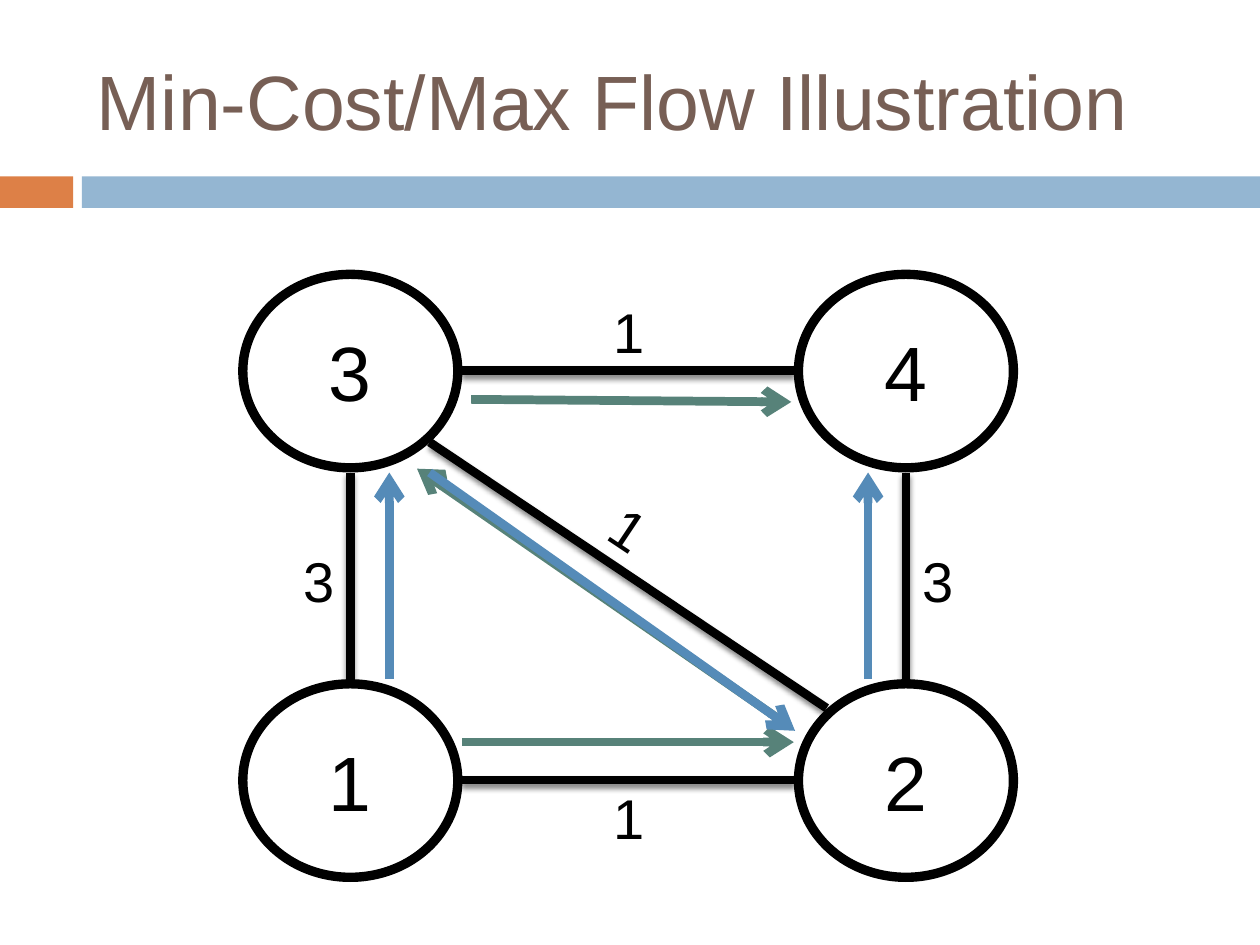
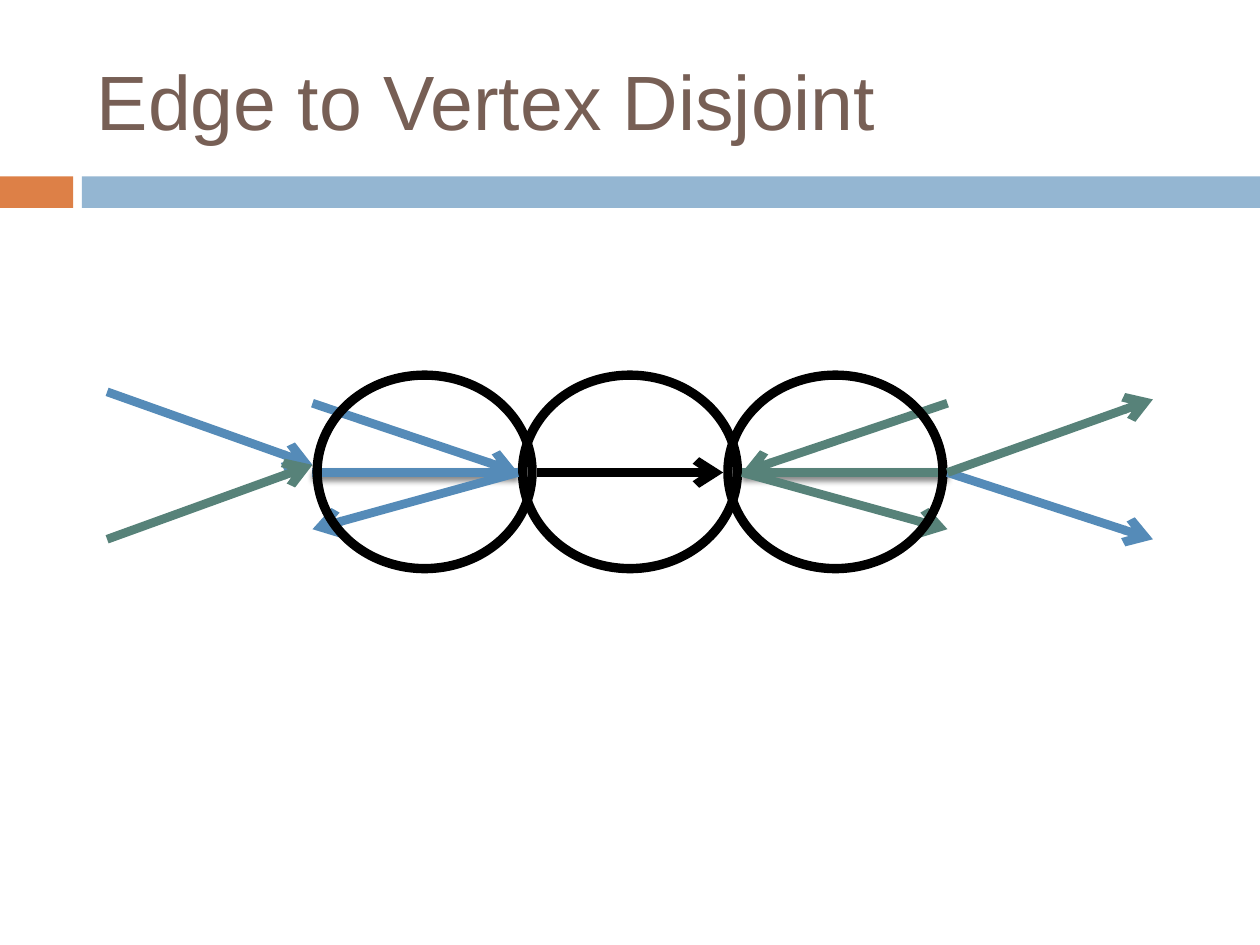
from lxml.etree import SubElement
from pptx import Presentation
from pptx.dml.color import RGBColor
from pptx.enum.shapes import MSO_CONNECTOR, MSO_SHAPE
from pptx.enum.text import MSO_ANCHOR, PP_ALIGN
from pptx.oxml.ns import qn
from pptx.util import Pt

PX = 9144  # EMU in one px, at 100 px to the inch
COLORS = {
    "black": "000000",
    "title": "775F55",
    "orange": "DD8047",
    "band": "94B6D2",
    "green": "578279",
    "blue": "558BB8",
}
NODE_WIDTH, NODE_HEIGHT = 178, 161
CENTERED = {"alignment": PP_ALIGN.CENTER}


def rgb(name):
    return RGBColor.from_string(COLORS[name])


def set_all(target, values):
    for name, value in values.items():
        setattr(target, name, value)


class Deck:
    """Holds the shared style and the slide being drawn."""

    def __init__(self):
        self.presentation = Presentation()
        set_all(self.presentation, {"slide_width": 1000 * PX, "slide_height": 750 * PX})
        self.slide = None

    def add_slide(self, title):
        blank = self.presentation.slide_layouts[6]
        self.slide = self.presentation.slides.add_slide(blank)
        self.shape(MSO_SHAPE.RECTANGLE, (0, 140, 58, 25), "orange")
        self.shape(MSO_SHAPE.RECTANGLE, (65, 140, 935, 25), "band")
        self.text_box(title, (67, 25, 892, 108), 44, "title",
                      {"alignment": PP_ALIGN.LEFT}, MSO_ANCHOR.MIDDLE)

    def set_text(self, shape, text, size, color="black", paragraph_format=CENTERED,
                 anchor=MSO_ANCHOR.MIDDLE):
        set_all(shape.text_frame, {"word_wrap": True, "vertical_anchor": anchor})
        paragraph = shape.text_frame.paragraphs[0]
        set_all(paragraph, paragraph_format)
        run = paragraph.add_run()
        run.text = text
        set_all(run.font, {"name": "Arial", "size": Pt(size)})
        run.font.color.rgb = rgb(color)

    def text_box(self, text, box, size, color="black", paragraph_format=CENTERED,
                 anchor=MSO_ANCHOR.TOP):
        shape = self.slide.shapes.add_textbox(*(length * PX for length in box))
        self.set_text(shape, text, size, color, paragraph_format, anchor)
        return shape

    def shape(self, kind, box, color):
        shape = self.slide.shapes.add_shape(kind, *(length * PX for length in box))
        shape.shadow.inherit = False
        shape.fill.solid()
        shape.fill.fore_color.rgb = rgb(color)
        shape.line.fill.background()
        return shape

    def node(self, center_x, center_y, text=None):
        box = (center_x - NODE_WIDTH // 2, center_y - NODE_HEIGHT // 2,
               NODE_WIDTH, NODE_HEIGHT)
        shape = self.shape(MSO_SHAPE.DONUT, box, "black")
        shape.adjustments[0] = 0.046
        if text:
            self.set_text(shape, text, 44)

    def cost(self, text, left, top, rotation=0):
        self.text_box(text, (left, top, 111, 64), 32).rotation = rotation

    def line(self, color, *ends):
        """Draws a line and returns its shape properties and empty effect list."""
        connector = self.slide.shapes.add_connector(
            MSO_CONNECTOR.STRAIGHT, *(length * PX for length in ends))
        connector.line.width = Pt(5)
        connector.line.color.rgb = rgb(color)
        properties = connector.element.spPr
        return properties, SubElement(properties, qn("a:effectLst"))

    def edge(self, color, *ends):
        """Draws a plain line with a soft shadow below it."""
        _, effects = self.line(color, *ends)
        shadow = SubElement(effects, qn("a:outerShdw"), blurRad="38100",
                            dist="30000", dir="5400000", rotWithShape="0")
        black = SubElement(shadow, qn("a:srgbClr"), val=COLORS["black"])
        SubElement(black, qn("a:alpha"), val="45000")

    def arrow(self, color, *ends):
        properties, _ = self.line(color, *ends)
        SubElement(properties.find(qn("a:ln")), qn("a:tailEnd"), type="arrow")


def draw_flow(deck):
    deck.add_slide("Min-Cost/Max Flow Illustration")
    left, right, top, bottom = 278, 719, 294, 619
    half_width, half_height = NODE_WIDTH // 2, NODE_HEIGHT // 2
    for text, x, y in (("3", left, top), ("4", right, top),
                       ("1", left, bottom), ("2", right, bottom)):
        deck.node(x, y, text)
    for x in (left, right):
        deck.edge("black", x, top + half_height + 1, x, bottom - half_height)
    for y in (top, bottom):
        deck.edge("black", left + half_width, y, right - half_width, y)
    deck.edge("black", 341, 351, 656, 562)

    deck.cost("1", 444, 388, 33.7)
    for text, x, y in (("1", 444, 231), ("1", 444, 617),
                       ("3", 689, 429), ("3", 198, 429)):
        deck.cost(text, x, y)

    for color, *ends in (
        ("green", 367, 589, 630, 589),
        ("green", 620, 572, 331, 372),
        ("green", 374, 317, 628, 319),
        ("blue", 309, 539, 309, 375),
        ("blue", 341, 375, 631, 580),
        ("blue", 689, 539, 689, 375),
    ):
        deck.arrow(color, *ends)


def draw_disjoint(deck):
    deck.add_slide("Edge to Vertex Disjoint")
    middle, step, center_y, flow_y = 500, 163, 374, 375
    outer_left, inner_left, inner_right, outer_right = 248, 411, 589, 752
    sides = (("blue", outer_left, inner_left), ("green", outer_right, inner_right))
    deck.node(middle, center_y)
    deck.edge("blue", inner_left, flow_y, outer_left, flow_y)
    deck.edge("green", outer_right, flow_y, inner_right, flow_y)
    for color, outer, inner in sides:
        deck.arrow(color, outer, 320, inner, flow_y)
        deck.arrow(color, inner, flow_y, outer, 420)
    for x in (middle - step, middle + step):
        deck.node(x, center_y)
    for color, *ends in (
        ("blue", outer_left - step, 311, outer_left, 369),
        ("green", outer_left - step, 428, outer_left, 369),
        ("black", 426, flow_y, 574, flow_y),
        ("blue", outer_right, flow_y, outer_right + step, 428),
        ("green", outer_right, flow_y, outer_right + step, 317),
    ):
        deck.arrow(color, *ends)


def main():
    deck = Deck()
    draw_flow(deck)
    draw_disjoint(deck)
    deck.presentation.save("out.pptx")


if __name__ == "__main__":
    main()
